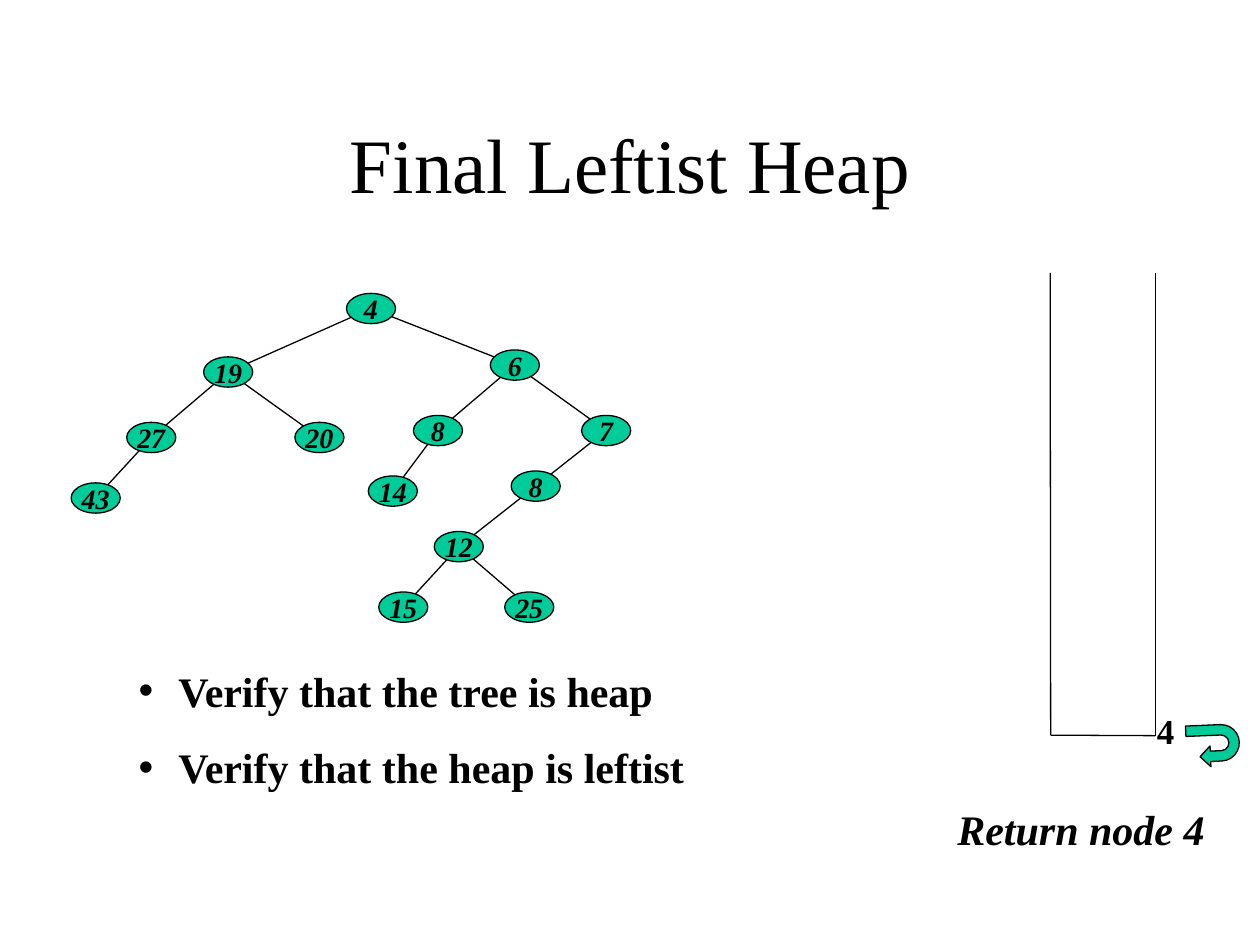
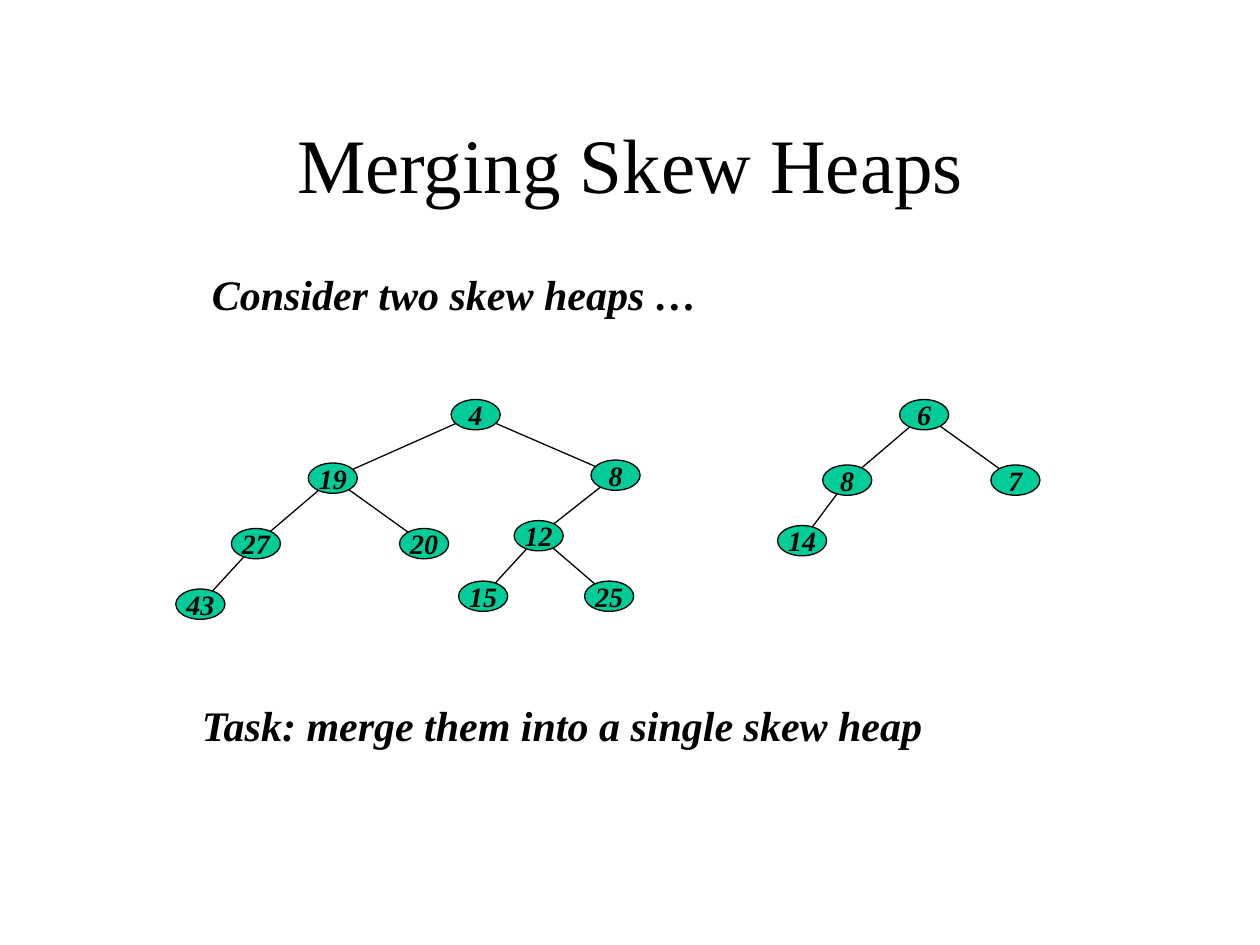
"""Build two slides that show leftist and skew heaps as trees."""
from dataclasses import dataclass, replace
from itertools import pairwise

import lxml.etree
import pptx
import pptx.dml.color
import pptx.enum.shapes
import pptx.enum.text
import pptx.oxml.ns
import pptx.util

Cm = pptx.util.Cm
Pt = pptx.util.Pt
Anchor = pptx.enum.text.MSO_ANCHOR
Align = pptx.enum.text.PP_ALIGN
Fit = pptx.enum.text.MSO_AUTO_SIZE
Kind = pptx.enum.shapes.MSO_SHAPE

COLORS = {"ink": "000000", "node": "00CC99"}
FONT = "Times New Roman"
NODE_W, NODE_H = 0.99, 0.61
TRIM = 0.08
STROKE = 0.75


@dataclass(frozen=True)
class Node:
    """A heap node, placed in cm from the centre of its parent."""
    key: str
    dx: float
    dy: float
    kids: tuple["Node", ...] = ()


@dataclass(frozen=True)
class Label:
    """A line of text in a box, with lengths in cm."""
    text: str
    left: float
    top: float
    width: float
    height: float
    size: int = 24
    slant: bool = True
    align: Align = Align.LEFT
    inset: float = 0.25


NINETEEN = Node("19", -2.88, 1.28, (
    Node("27", -1.55, 1.32, (Node("43", -1.12, 1.22),)),
    Node("20", 1.84, 1.32),
))
EIGHT = Node("8", -1.55, 1.32, (Node("14", -0.91, 1.22),))
SEVEN = Node("7", 1.84, 1.32)
LOWER = Node("8", -1.42, 1.12, (
    Node("12", -1.55, 1.22, (Node("15", -1.12, 1.22), Node("25", 1.42, 1.22))),
))
SIX = Node("6", 2.9, 1.14, (EIGHT, replace(SEVEN, kids=(LOWER,))))

MERGED = Node("4", 7.48, 6.22, (NINETEEN, SIX))
PAIR = (
    Node("4", 9.59, 8.36, (NINETEEN, replace(LOWER, dx=2.82, dy=1.22))),
    Node("6", 18.63, 8.36, (EIGHT, SEVEN)),
)

STACK = ((21.17, 5.5), (21.18, 14.82), (23.29, 14.83), (23.29, 5.5))
RESULT = (
    Label("Return node 4", 19.05, 16.08, 5.5, 1.27),
    Label("4", 23.07, 14.18, 0.85, 1.12, 20, False, Align.CENTER),
)
TASK = (
    Label("Consider two skew heaps …", 4.02, 5.29, 17.99, 1.27),
    Label("Task: merge them into a single skew heap", 3.18, 13.97, 17.99, 1.27, inset=0.89),
)
CHECKS = ("Verify that the tree is heap", "Verify that the heap is leftist")


def tint(name: str) -> pptx.dml.color.RGBColor:
    """Return a named colour."""
    return pptx.dml.color.RGBColor.from_string(COLORS[name])


def write(para, text: str, size: int, bold: bool = True, slant: bool = False) -> None:
    """Add one run in the deck's font."""
    run = para.add_run()
    run.text = text
    font = run.font
    font.name, font.size, font.bold, font.italic = FONT, Pt(size), bold, slant
    font.color.rgb = tint("ink")


def place(shape, left: float, top: float, width: float, height: float) -> None:
    """Move and size a shape in cm."""
    shape.left, shape.top = Cm(left), Cm(top)
    shape.width, shape.height = Cm(width), Cm(height)


def start(deck, layout: int, title: str):
    """Add a slide with the shared title style."""
    slide = deck.slides.add_slide(deck.slide_layouts[layout])
    head = slide.shapes.title
    place(head, 1.91, 1.69, 21.59, 3.18)
    frame = head.text_frame
    frame.auto_size = Fit.NONE
    frame.vertical_anchor = Anchor.MIDDLE
    para = frame.paragraphs[0]
    para.alignment = Align.CENTER
    write(para, title, 44, bold=False)
    return slide


def join(slide, begin: tuple[float, float], end: tuple[float, float]) -> None:
    """Draw a thin straight line between two points in cm."""
    line = slide.shapes.add_connector(
        pptx.enum.shapes.MSO_CONNECTOR.STRAIGHT, *map(Cm, begin + end))
    line.line.color.rgb = tint("ink")
    line.line.width = Pt(STROKE)
    lxml.etree.SubElement(line._element.spPr, pptx.oxml.ns.qn("a:effectLst"))


def solid(slide, kind: Kind, left: float, top: float, width: float, height: float):
    """Draw a green shape with a thin outline."""
    shape = slide.shapes.add_shape(kind, Cm(left), Cm(top), Cm(width), Cm(height))
    shape.shadow.inherit = False
    shape.fill.solid()
    shape.fill.fore_color.rgb = tint("node")
    shape.line.color.rgb = tint("ink")
    shape.line.width = Pt(STROKE)
    return shape


def plant(slide, node: Node, x: float = 0, y: float = 0) -> None:
    """Draw a tree, each edge below the nodes it joins."""
    x, y = x + node.dx, y + node.dy
    for kid in node.kids:
        ends = [(x + kid.dx * part, y + kid.dy * part) for part in (TRIM, 1 - TRIM)]
        join(slide, *ends)
        plant(slide, kid, x, y)
    oval = solid(slide, Kind.OVAL, x - NODE_W / 2, y - NODE_H / 2, NODE_W, NODE_H)
    frame = oval.text_frame
    frame.word_wrap = False
    frame.vertical_anchor = Anchor.MIDDLE
    para = frame.paragraphs[0]
    para.alignment = Align.CENTER
    write(para, node.key, 16, slant=True)


def tell(slide, label: Label) -> None:
    """Add a text box for a label."""
    box = slide.shapes.add_textbox(
        Cm(label.left), Cm(label.top), Cm(label.width), Cm(label.height))
    frame = box.text_frame
    frame.word_wrap = True
    frame.auto_size = Fit.SHAPE_TO_FIT_TEXT
    frame.margin_left = Cm(label.inset)
    para = frame.paragraphs[0]
    para.alignment = label.align
    write(para, label.text, label.size, slant=label.slant)


def list_out(body, lines: tuple[str, ...]) -> None:
    """Fill a body placeholder with bold bullets."""
    place(body, 2.54, 13.28, 12.07, 2.82)
    frame = body.text_frame
    frame.auto_size = Fit.NONE
    for index, text in enumerate(lines):
        para = frame.add_paragraph() if index else frame.paragraphs[0]
        props = para._p.get_or_add_pPr()
        props.set("marL", str(int(Cm(0.8))))
        props.set("indent", str(int(Cm(-0.8))))
        hue = lxml.etree.SubElement(props, pptx.oxml.ns.qn("a:buClr"))
        lxml.etree.SubElement(hue, pptx.oxml.ns.qn("a:srgbClr"), val=COLORS["ink"])
        lxml.etree.SubElement(props, pptx.oxml.ns.qn("a:buChar"), char="•")
        para.space_before = Pt(15 if index else 0)
        write(para, text, 24)


def show_final(deck) -> None:
    """Build the slide with the merged leftist heap."""
    slide = start(deck, 1, "Final Leftist Heap")
    list_out(slide.placeholders[1], CHECKS)
    plant(slide, MERGED)
    for begin, end in pairwise(STACK):
        join(slide, begin, end)
    arrow = solid(slide, Kind.U_TURN_ARROW, 24.03, 14.5, 0.84, 1.07)
    arrow.rotation = 87.6
    for label in RESULT:
        tell(slide, label)


def show_pair(deck) -> None:
    """Build the slide with two skew heaps to merge."""
    slide = start(deck, 5, "Merging Skew Heaps")
    for heap in PAIR:
        plant(slide, heap)
    for label in TASK:
        tell(slide, label)


def main() -> None:
    """Build and save the deck."""
    deck = pptx.Presentation()
    deck.slide_width, deck.slide_height = Cm(25.4), Cm(19.05)
    show_final(deck)
    show_pair(deck)
    deck.save("out.pptx")


if __name__ == "__main__":
    main()
